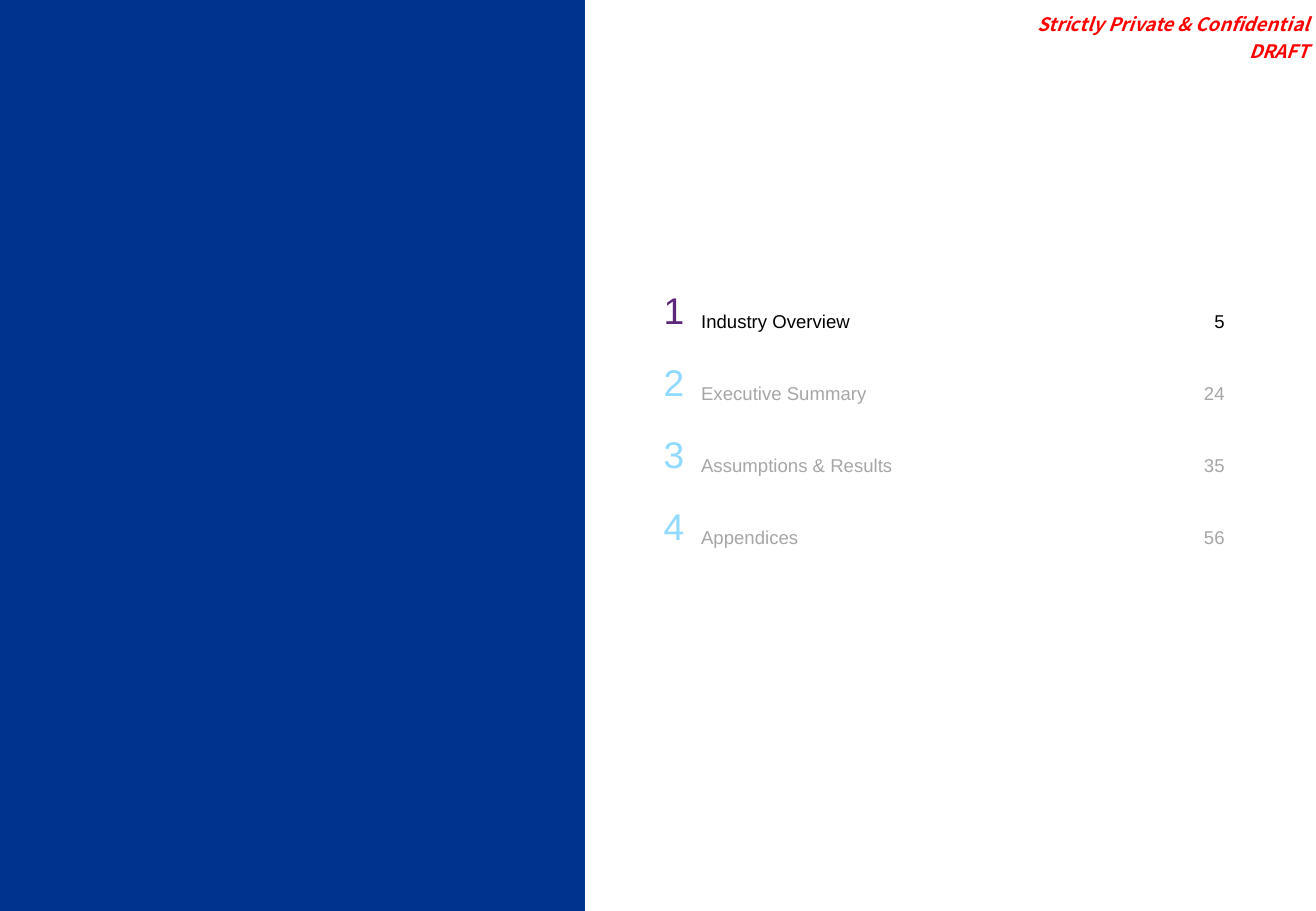
from pptx import Presentation
from pptx.dml.color import RGBColor
from pptx.enum.text import MSO_ANCHOR, PP_ALIGN
from pptx.util import Pt

LEFT, RIGHT = PP_ALIGN.LEFT, PP_ALIGN.RIGHT
MIDDLE, BOTTOM = MSO_ANCHOR.MIDDLE, MSO_ANCHOR.BOTTOM
BLUE = RGBColor(0x00, 0x33, 0x8D)
RED = RGBColor(0xFF, 0x00, 0x00)
PURPLE = RGBColor(0x5D, 0x28, 0x7A)
SKY = RGBColor(0x90, 0xDA, 0xFF)
BLACK = RGBColor(0x00, 0x00, 0x00)
GRAY = RGBColor(0xA6, 0xA6, 0xA6)
ITEMS = [
    ("Industry Overview", 5),
    ("Executive Summary", 24),
    ("Assumptions & Results", 35),
    ("Appendices", 56),
]


def write(frame, text, size=11, color=BLACK, font="Arial", align=LEFT,
          bold=False, italic=False, gap=0):
    """Fill a text frame with one formatted paragraph per line."""
    for i, line in enumerate(text.split("\n")):
        para = frame.add_paragraph() if i else frame.paragraphs[0]
        para.alignment = align
        if i:
            para.space_before = Pt(gap)
        run = para.add_run()
        run.text = line
        run.font.name = font
        run.font.size = Pt(size)
        run.font.bold = bold
        run.font.italic = italic
        run.font.color.rgb = color


def inset(part, left, top, right, bottom):
    """Set the margins of a cell or text frame."""
    part.margin_left, part.margin_top = Pt(left), Pt(top)
    part.margin_right, part.margin_bottom = Pt(right), Pt(bottom)


def panel(slide, x, y, w, h):
    """Draw the solid side panel."""
    draw = slide.shapes.build_freeform(Pt(x), Pt(y))
    draw.add_line_segments(
        [(Pt(x + w), Pt(y)), (Pt(x + w), Pt(y + h)), (Pt(x), Pt(y + h))])
    shape = draw.convert_to_shape()
    shape.shadow.inherit = False
    shape.fill.solid()
    shape.fill.fore_color.rgb = BLUE
    shape.line.fill.background()


def notice(slide, x, y, w, h):
    """Place the confidentiality notice."""
    frame = slide.shapes.add_textbox(Pt(x), Pt(y), Pt(w), Pt(h)).text_frame
    frame.word_wrap = True
    frame.vertical_anchor = BOTTOM
    inset(frame, 0, 2.9, 2.9, 2.9)
    write(frame, "Strictly Private & Confidential\nDRAFT", color=RED,
          font="Noto Sans CJK KR", align=RIGHT, bold=True, italic=True,
          gap=2.5)


def agenda(slide, x, y, w, h, active=0):
    """Build the contents table with one section highlighted."""
    table = slide.shapes.add_table(
        len(ITEMS), 3, Pt(x), Pt(y), Pt(w), Pt(h)).table
    table.first_row = table.horz_banding = False
    num, page = 40.3, 35.3
    for col, width in zip(table.columns, (num, w - num - page, page)):
        col.width = Pt(width)
    for i, (title, start) in enumerate(ITEMS):
        table.rows[i].height = Pt(h / len(ITEMS))
        tint, ink = (PURPLE, BLACK) if i == active else (SKY, GRAY)
        parts = [
            (str(i + 1), 22, tint, RIGHT, (7.2, 3.6, 7.2, 3.6)),
            (title, 11, ink, LEFT, (2.9, 15.6, 0, 3.6)),
            (str(start), 11, ink, RIGHT, (7.2, 15.6, 7.2, 3.6)),
        ]
        for j, (text, size, color, align, pad) in enumerate(parts):
            cell = table.cell(i, j)
            cell.fill.background()
            cell.vertical_anchor = MIDDLE
            inset(cell, *pad)
            write(cell.text_frame, text, size=size, color=color, align=align)


def main():
    """Build and save the contents slide."""
    deck = Presentation()
    deck.slide_width, deck.slide_height = Pt(780), Pt(540)
    slide = deck.slides.add_slide(deck.slide_layouts[6])
    panel(slide, 0, 0, 347, 540)
    notice(slide, 599, 0, 180, 39.6)
    agenda(slide, 372.4, 163.4, 360.7, 170.8)
    deck.save("out.pptx")


if __name__ == "__main__":
    main()
